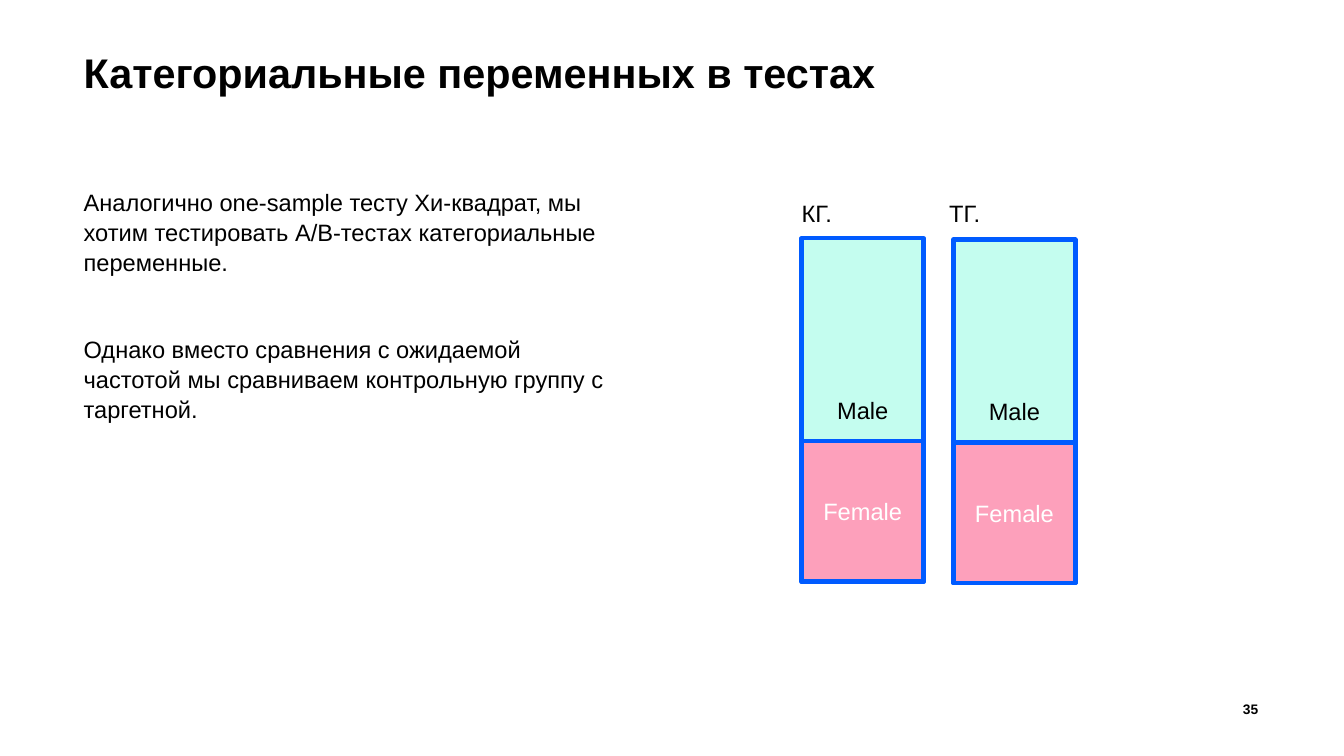
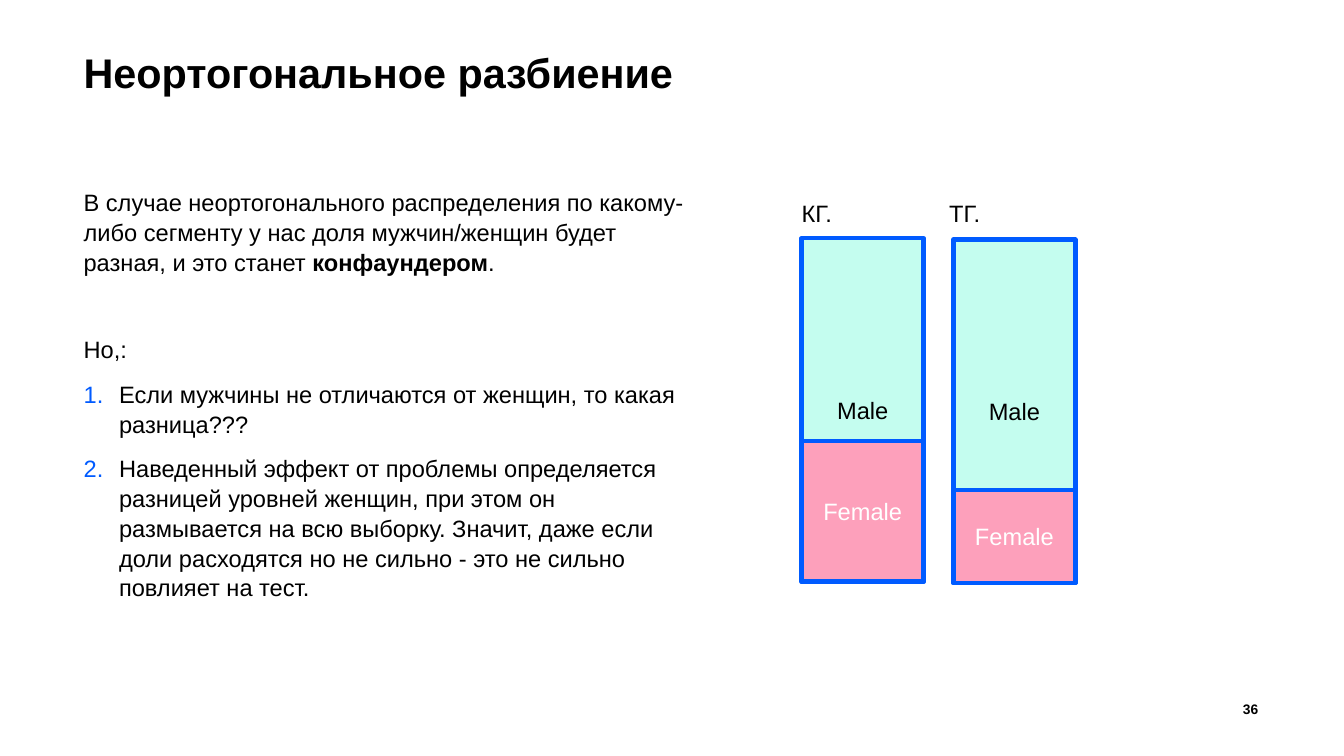
from dataclasses import dataclass
from typing import Optional

from lxml.etree import SubElement
from pptx import Presentation
from pptx.dml.color import RGBColor
from pptx.enum.shapes import MSO_SHAPE as Preset
from pptx.enum.text import MSO_ANCHOR as Anchor, PP_ALIGN as Align
from pptx.oxml.ns import qn
from pptx.util import Inches, Pt

FONT = "Arial"
BLACK = "000000"
WHITE = "FFFFFF"
BLUE = "005BFF"
MINT = "C4FDEF"
PINK = "FDA0BB"

MARGIN = 1.18
BODY_SIZE = 24
BODY_SPACING = 1.05
SPACE_BEFORE = 7
SPACE_AFTER = 8
SECTION_GAP = 51
NUMBER_INDENT = 0.5

CHART_LEFT = 11.31
LABEL_TOP = 2.66
LABEL_PITCH = 2.08
BAR_PITCH = 2.14
BAR_WIDTH = 1.72
BAR_HEIGHT = 4.84


@dataclass(frozen=True)
class Box:
    left: float
    top: float
    width: float
    height: float


@dataclass(frozen=True)
class TextStyle:
    size: int = BODY_SIZE
    color: str = BLACK
    bold: bool = False
    align: Align = Align.LEFT
    line_spacing: Optional[float] = None


@dataclass(frozen=True)
class BodyParagraph:
    text: str
    bold_part: str = ""
    ending: str = ""
    numbered: bool = False
    space_before: int = SPACE_BEFORE


@dataclass(frozen=True)
class Group:
    label: str
    top: float
    female_height: float


@dataclass(frozen=True)
class Page:
    title: str
    number: int
    body_width: float
    paragraphs: tuple[BodyParagraph, ...]
    groups: tuple[Group, ...]


TITLE_BOX = Box(MARGIN, 0.63, 16.6, 1.22)
NUMBER_BOX = Box(16.79, 9.81, 1, 0.37)
TITLE_STYLE = TextStyle(size=42, bold=True, line_spacing=0.9)
NUMBER_STYLE = TextStyle(size=14, bold=True, align=Align.RIGHT)
BODY_STYLE = TextStyle(line_spacing=BODY_SPACING)

CONTROL = Group("КГ.", 3.36, 1.98)

PAGES = (
    Page(
        "Категориальные переменных в тестах",
        35,
        7.61,
        (
            BodyParagraph(
                "Аналогично one-sample тесту Хи-квадрат, мы хотим "
                "тестировать А/В-тестах категориальные переменные."
            ),
            BodyParagraph(
                "Однако вместо сравнения с ожидаемой частотой мы "
                "сравниваем контрольную группу с таргетной.",
                space_before=SECTION_GAP,
            ),
        ),
        (CONTROL, Group("ТГ.", 3.38, 1.98)),
    ),
    Page(
        "Неортогональное разбиение",
        36,
        8.74,
        (
            BodyParagraph(
                "В случае неортогонального распределения по какому-либо "
                "сегменту у нас доля мужчин/женщин будет разная, и это станет ",
                bold_part="конфаундером",
                ending=".",
            ),
            BodyParagraph("Но,:", space_before=SECTION_GAP),
            BodyParagraph(
                "Если мужчины не отличаются от женщин, то какая разница???",
                numbered=True,
            ),
            BodyParagraph(
                "Наведенный эффект от проблемы определяется разницей уровней "
                "женщин, при этом он размывается на всю выборку. Значит, даже "
                "если доли расходятся но не сильно - это не сильно повлияет "
                "на тест.",
                numbered=True,
            ),
        ),
        (CONTROL, Group("ТГ.", 3.38, 1.31)),
    ),
)


def rgb(color: str) -> RGBColor:
    return RGBColor.from_string(color)


def lengths(box: Box) -> tuple:
    return tuple(Inches(n) for n in (box.left, box.top, box.width, box.height))


def style_paragraph(paragraph, style: TextStyle) -> None:
    paragraph.alignment = style.align
    if style.line_spacing:
        paragraph.line_spacing = style.line_spacing
    font = paragraph.font
    font.name = FONT
    font.size = Pt(style.size)
    font.bold = style.bold
    font.color.rgb = rgb(style.color)


def add_text_frame(slide, box: Box, insets=(0, 0.12, 0, 0), anchor=Anchor.TOP):
    frame = slide.shapes.add_textbox(*lengths(box)).text_frame
    frame.word_wrap = True
    frame.vertical_anchor = anchor
    (frame.margin_left, frame.margin_top,
     frame.margin_right, frame.margin_bottom) = map(Inches, insets)
    return frame


def add_line(frame, text: str, style: TextStyle) -> None:
    paragraph = frame.paragraphs[0]
    paragraph.text = text
    style_paragraph(paragraph, style)


def number_paragraph(paragraph) -> None:
    properties = paragraph._p.get_or_add_pPr()
    properties.set("marL", str(Inches(NUMBER_INDENT)))
    properties.set("indent", str(-Inches(NUMBER_INDENT)))
    bullet_color = SubElement(properties, qn("a:buClr"))
    SubElement(bullet_color, qn("a:srgbClr"), val=BLUE)
    SubElement(properties, qn("a:buAutoNum"), type="arabicPeriod")


def add_body(slide, page: Page) -> None:
    frame = add_text_frame(slide, Box(MARGIN, 2.51, page.body_width, 6.77))
    for index, item in enumerate(page.paragraphs):
        paragraph = frame.add_paragraph() if index else frame.paragraphs[0]
        if item.numbered:
            number_paragraph(paragraph)
        if index:
            paragraph.space_before = Pt(item.space_before)
        paragraph.space_after = Pt(SPACE_AFTER)
        style_paragraph(paragraph, BODY_STYLE)
        paragraph.add_run().text = item.text
        if item.bold_part:
            bold_run = paragraph.add_run()
            bold_run.text = item.bold_part
            bold_run.font.bold = True
            paragraph.add_run().text = item.ending


def add_bar(slide, box: Box, text: str, fill: str, color: str) -> None:
    shape = slide.shapes.add_shape(Preset.RECTANGLE, *lengths(box))
    shape.shadow.inherit = False
    shape.fill.solid()
    shape.fill.fore_color.rgb = rgb(fill)
    shape.line.color.rgb = rgb(BLUE)
    shape.line.width = Pt(4.5)
    shape.text_frame.vertical_anchor = Anchor.MIDDLE
    add_line(shape.text_frame, text, TextStyle(color=color, align=Align.CENTER))


def add_group(slide, group: Group, column: int) -> None:
    left = CHART_LEFT + column * BAR_PITCH
    female_top = group.top + BAR_HEIGHT - group.female_height
    add_bar(slide, Box(left, group.top, BAR_WIDTH, BAR_HEIGHT),
            "Male", MINT, BLACK)
    add_bar(slide, Box(left, female_top, BAR_WIDTH, group.female_height),
            "Female", PINK, WHITE)
    label_left = CHART_LEFT + column * LABEL_PITCH
    label = add_text_frame(slide, Box(label_left, LABEL_TOP, BAR_WIDTH, 0.6))
    add_line(label, group.label, BODY_STYLE)


def add_page(presentation, page: Page) -> None:
    slide = presentation.slides.add_slide(presentation.slide_layouts[6])
    add_line(add_text_frame(slide, TITLE_BOX), page.title, TITLE_STYLE)
    number = add_text_frame(slide, NUMBER_BOX, (0.04, 0, 0.04, 0.06),
                            Anchor.BOTTOM)
    add_line(number, str(page.number), NUMBER_STYLE)
    add_body(slide, page)
    for column, group in enumerate(page.groups):
        add_group(slide, group, column)


def main() -> None:
    presentation = Presentation()
    presentation.slide_width = Inches(18.96)
    presentation.slide_height = Inches(10.66)
    for page in PAGES:
        add_page(presentation, page)
    presentation.save("out.pptx")


if __name__ == "__main__":
    main()
